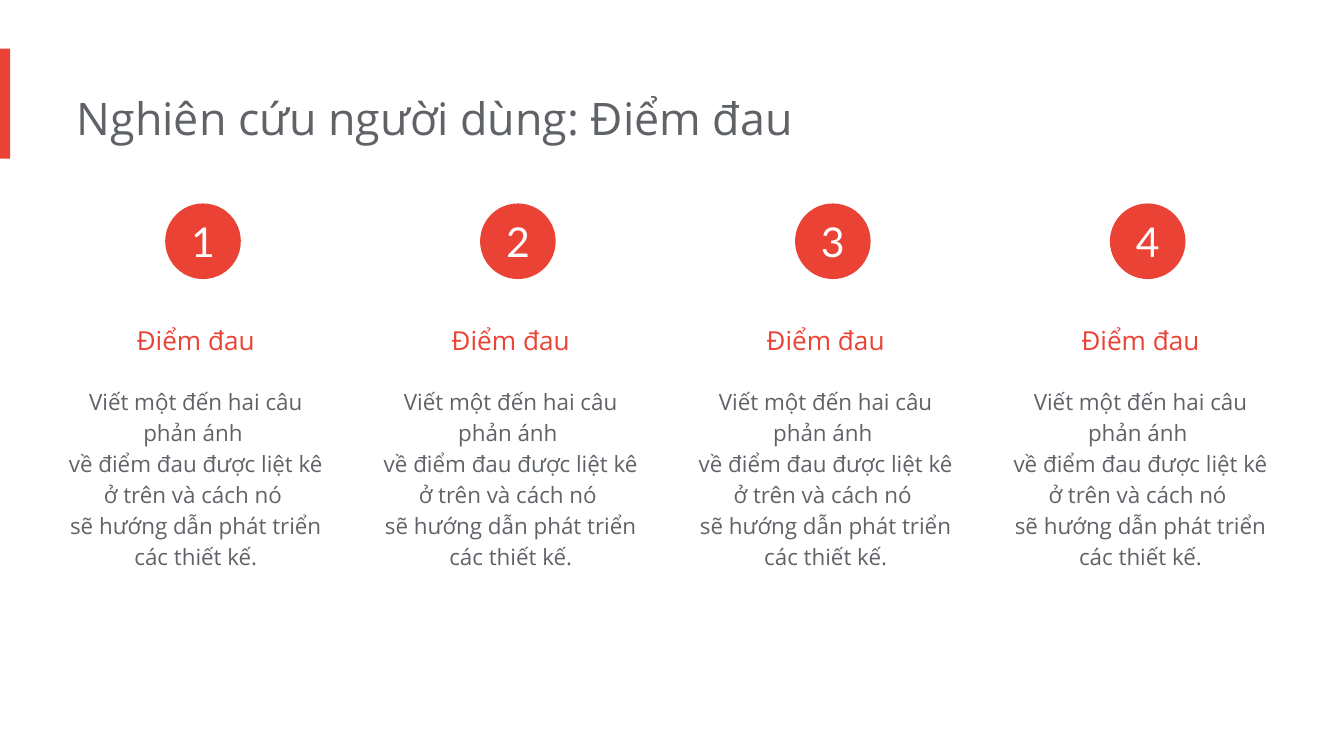
from pptx import Presentation
from pptx.dml.color import RGBColor
from pptx.enum.shapes import MSO_SHAPE
from pptx.enum.text import MSO_ANCHOR, MSO_AUTO_SIZE, PP_ALIGN
from pptx.util import Pt

RECTANGLE = MSO_SHAPE.RECTANGLE
OVAL = MSO_SHAPE.OVAL
MIDDLE = MSO_ANCHOR.MIDDLE
GROW = MSO_AUTO_SIZE.SHAPE_TO_FIT_TEXT
LEFT = PP_ALIGN.LEFT
CENTER = PP_ALIGN.CENTER

COLORS = {"accent": "EA4335", "text": "5F6368", "white": "FFFFFF"}

COLUMN_COUNT = 4
COLUMN_LEFT = 34.7
COLUMN_WIDTH = 147.6
COLUMN_PITCH = 168.7
BADGE_OFFSET = 53.8
BADGE_SIZE = 40.5

TITLE = "Nghiên cứu người dùng: Điểm đau"
HEADING = "Điểm đau"
DESCRIPTION = (
    "Viết một đến hai câu phản ánh \n"
    "về điểm đau được liệt kê ở trên và cách nó \n"
    "sẽ hướng dẫn phát triển các thiết kế."
)


def color(name):
    return RGBColor.from_string(COLORS[name])


def set_margins(frame, left, others):
    frame.margin_left = Pt(left)
    frame.margin_top = frame.margin_right = frame.margin_bottom = Pt(others)


def write(frame, text, size, color_name, align, font="Open Sans", spacing=1.0):
    """Fill one paragraph; newlines become line breaks within it."""
    para = frame.paragraphs[0]
    para.text = text
    para.alignment = align
    para.line_spacing = spacing
    for span in para.runs:
        span.font.name = font
        span.font.size = Pt(size)
        span.font.color.rgb = color(color_name)


def add_text(page, left, top, width, height, text, size, color_name,
             align=CENTER, spacing=1.0):
    box = page.shapes.add_textbox(Pt(left), Pt(top), Pt(width), Pt(height))
    frame = box.text_frame
    frame.word_wrap = True
    frame.auto_size = GROW
    set_margins(frame, 0, 7.2)
    write(frame, text, size, color_name, align, spacing=spacing)


def add_accent_shape(page, kind, left, top, width, height):
    shape = page.shapes.add_shape(kind, Pt(left), Pt(top), Pt(width), Pt(height))
    shape.shadow.inherit = False
    shape.fill.solid()
    shape.fill.fore_color.rgb = color("accent")
    shape.line.fill.background()
    return shape


def add_badge(page, left, number):
    badge = add_accent_shape(page, OVAL, left, 109, BADGE_SIZE, BADGE_SIZE)
    frame = badge.text_frame
    frame.vertical_anchor = MIDDLE
    set_margins(frame, 0, 0)
    write(frame, str(number), 22, "white", CENTER, font="Lato")


def add_pain_point(page, index):
    left = COLUMN_LEFT + index * COLUMN_PITCH
    add_text(page, left, 158.4, COLUMN_WIDTH, 31.7, HEADING, 14, "accent",
             spacing=1.5)
    add_text(page, left, 198.7, COLUMN_WIDTH, 115.2, DESCRIPTION, 12, "text",
             spacing=1.15)
    add_badge(page, left + BADGE_OFFSET, index + 1)


def main():
    deck = Presentation()
    deck.slide_width = Pt(720)
    deck.slide_height = Pt(405)
    page = deck.slides.add_slide(deck.slide_layouts[6])

    add_accent_shape(page, RECTANGLE, 0, 26, 5.5, 59)
    add_text(page, 41.2, 41.2, 484.6, 43.9, TITLE, 24, "text", align=LEFT)
    for index in range(COLUMN_COUNT):
        add_pain_point(page, index)

    deck.save("out.pptx")


if __name__ == "__main__":
    main()
